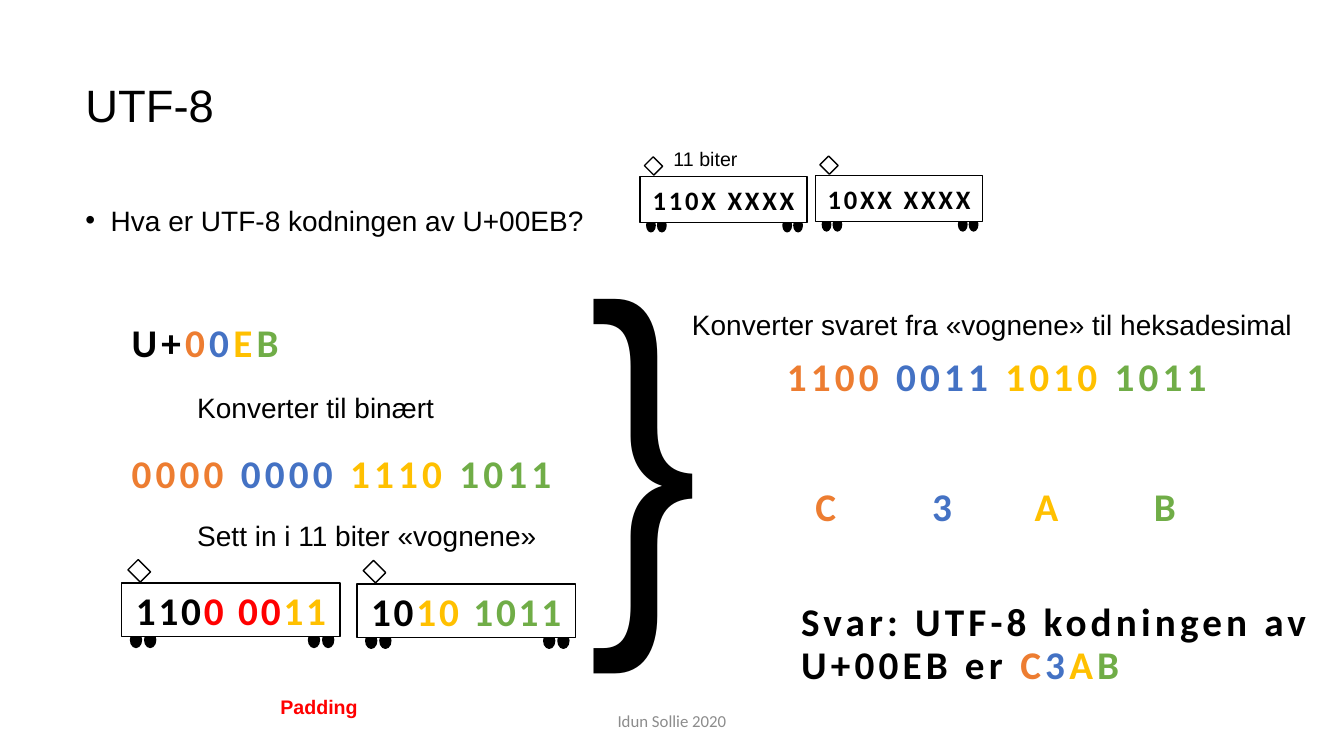
"""Build the slide that works out the UTF-8 encoding of U+00EB."""
from dataclasses import dataclass
from typing import Any

import lxml.etree
import pptx
import pptx.dml.color
import pptx.enum.shapes
import pptx.enum.text
import pptx.oxml.ns
import pptx.util

SHAPE = pptx.enum.shapes.MSO_SHAPE
ALIGN = pptx.enum.text.PP_ALIGN
ANCHOR = pptx.enum.text.MSO_ANCHOR
COLS, ROWS = 160, 90
WIDTH, HEIGHT = pptx.util.Inches(13.333), pptx.util.Inches(7.5)


@dataclass(frozen=True)
class Theme:
    black: str = "000000"
    white: str = "FFFFFF"
    grey: str = "8C8C8C"
    red: str = "FF0000"
    orange: str = "ED7D31"
    blue: str = "4472C4"
    yellow: str = "FFC000"
    green: str = "70AD47"
    sans: str = "Arial"
    narrow: str = "Arial Narrow"
    code: str = "Calibri"
    title: float = 32.4
    body: float = 20
    digits: float = 28
    small_digits: float = 19
    label: float = 14
    footer: float = 12
    brace: float = 287


T = Theme()
NIBBLES = (T.orange, T.blue, T.yellow, T.green)
Runs = list[tuple[str, str]]


@dataclass(frozen=True)
class Style:
    size: float
    font: str = T.sans
    bold: bool = False
    tracking: int = 0
    spacing: float = 0.9
    align: Any = ALIGN.LEFT


BODY = Style(T.body)
BULLET = Style(T.body, spacing=1.2)
DIGITS = Style(T.digits, T.code, True, 3)
WAGON = Style(T.digits, T.code, True, 2, 1.0, ALIGN.CENTER)
SMALL_WAGON = Style(T.small_digits, T.code, True, 2, 1.0, ALIGN.CENTER)
FOOTER = Style(T.footer, T.code, spacing=1.0, align=ALIGN.CENTER)


@dataclass(frozen=True)
class Label:
    col: float
    row: float
    cols: float
    rows: float
    runs: Runs
    style: Style = BODY
    anchor: Any = ANCHOR.TOP
    bullet: bool = False
    tabs: tuple[float, ...] = ()


@dataclass(frozen=True)
class Wagon:
    col: float
    row: float
    cols: float
    rows: float
    runs: Runs
    style: Style


def nibbles(*parts: str) -> Runs:
    return list(zip(parts, NIBBLES))


LABELS = [
    Label(53, 83.4, 54, 4.8, [("Idun Sollie 2020", T.grey)], FOOTER, ANCHOR.MIDDLE),
    Label(9, 10, 144.6, 5.7, [("UTF-8", T.black)], Style(T.title), ANCHOR.MIDDLE),
    Label(9, 22.8, 71, 6, [("Hva er UTF-8 kodningen av U+00EB?", T.black)], BULLET, bullet=True),
    Label(14.5, 37.9, 69, 6.4, [("U+", T.black), *nibbles("0", "0", "E", "B")], DIGITS),
    Label(22.3, 46.4, 46, 4.8, [("Konverter til binært", T.black)]),
    Label(14.5, 53.5, 69, 6.4, nibbles("0000 ", "0000 ", "1110 ", "1011"), DIGITS),
    Label(22.3, 61.6, 46, 4.8, [("Sett in i 11 biter «vognene»", T.black)]),
    Label(79, 17.2, 18, 3.7, [("11 biter", T.black)], Style(T.label)),
    Label(68.9, 28.4, 14, 58, [("}", T.black)], Style(T.brace, T.narrow)),
    Label(32.2, 82.4, 18, 3.7, [("Padding", T.red)], Style(T.label, bold=True)),
    Label(81.2, 36.5, 78, 4.8,
          [("Konverter svaret fra «vognene» til heksadesimal", T.black)]),
    Label(92.5, 42, 66, 6.4, nibbles("1100 ", "0011 ", "1010 ", "1011"), DIGITS),
    Label(93, 57.4, 66, 6.4, nibbles("\tC", "\t3", "\tA", "\tB"), DIGITS,
          tabs=(2.9, 16.8, 29, 43.2)),
    Label(94.2, 71.2, 65, 11.4,
          [("Svar: UTF-8 kodningen av U+00EB er ", T.black), *nibbles("C", "3", "A", "B")],
          DIGITS),
]

WAGONS = [
    Wagon(14.5, 69.4, 26, 6.4,
          [("110", T.black), ("0 00", T.red), ("11", T.yellow)], WAGON),
    Wagon(42.5, 69.5, 26, 6.4,
          [("10", T.black), ("10 ", T.yellow), ("1011", T.green)], WAGON),
    Wagon(76.2, 21, 19.9, 5.5, [("110X XXXX", T.black)], SMALL_WAGON),
    Wagon(97.1, 20.9, 19.9, 5.5, [("10XX XXXX", T.black)], SMALL_WAGON),
]
WHEELS = (0.04, 0.105, 0.855, 0.92)


def x(cols: float) -> int:
    return round(WIDTH * cols / COLS)


def y(rows: float) -> int:
    return round(HEIGHT * rows / ROWS)


def rgb(color: str) -> pptx.dml.color.RGBColor:
    return pptx.dml.color.RGBColor.from_string(color)


def apply(target: Any, values: dict[str, Any]) -> None:
    for name, value in values.items():
        setattr(target, name, value)


def add_mark(parent: Any, tag: str, **attributes: str) -> Any:
    mark = lxml.etree.SubElement(parent, pptx.oxml.ns.qn(tag))
    for name, value in attributes.items():
        mark.set(name, value)
    return mark


def write(tf: Any, runs: Runs, style: Style, bullet: bool = False,
          tabs: tuple[float, ...] = ()) -> None:
    p = tf.paragraphs[0]
    ppr = p._p.get_or_add_pPr()
    if bullet:
        apply_indent = {"marL": str(x(3)), "indent": str(-x(3))}
        for name, value in apply_indent.items():
            ppr.set(name, value)
        add_mark(ppr, "a:buFont", typeface=T.sans)
        add_mark(ppr, "a:buChar", char="•")
    if tabs:
        stops = add_mark(ppr, "a:tabLst")
        for tab in tabs:
            add_mark(stops, "a:tab", pos=str(x(tab)), algn="l")
    apply(p, {"alignment": style.align, "line_spacing": style.spacing})
    for text, color in runs:
        r = p.add_run()
        r.text = text
        apply(r.font, {"size": pptx.util.Pt(style.size), "name": style.font,
                       "bold": style.bold})
        r.font.color.rgb = rgb(color)
        if style.tracking:
            r.font._element.set("spc", str(style.tracking * 100))


def add_label(s: Any, label: Label) -> None:
    sp = s.shapes.add_textbox(x(label.col), y(label.row), x(label.cols), y(label.rows))
    apply(sp.text_frame, {"word_wrap": True, "vertical_anchor": label.anchor})
    write(sp.text_frame, label.runs, label.style, label.bullet, label.tabs)


def add_part(s: Any, wagon: Wagon, kind: Any, fill: str,
             left: float, top: float, width: float, height: float) -> Any:
    sp = s.shapes.add_shape(
        kind, x(wagon.col + left * wagon.cols), y(wagon.row + top * wagon.rows),
        x(width * wagon.cols), y(height * wagon.rows))
    sp.shadow.inherit = False
    sp.fill.solid()
    sp.fill.fore_color.rgb = rgb(fill)
    sp.line.color.rgb = rgb(T.black)
    sp.line.width = pptx.util.Pt(1)
    return sp


def add_wagon(s: Any, wagon: Wagon) -> None:
    for left in WHEELS:
        add_part(s, wagon, SHAPE.OVAL, T.black, left, 0.92, 0.05, 0.28)
    body = add_part(s, wagon, SHAPE.RECTANGLE, T.white, 0, 0, 1, 1)
    apply(body.text_frame, {"word_wrap": True, "vertical_anchor": ANCHOR.MIDDLE,
                            "margin_left": 0, "margin_right": 0})
    write(body.text_frame, wagon.runs, wagon.style)
    pantograph = add_part(s, wagon, SHAPE.RECTANGLE, T.white, 0.04, -0.36, 0.08, 0.27)
    pantograph.rotation = 45


def main() -> None:
    prs = pptx.Presentation()
    apply(prs, {"slide_width": WIDTH, "slide_height": HEIGHT})
    s = prs.slides.add_slide(prs.slide_layouts[6])
    for wagon in WAGONS:
        add_wagon(s, wagon)
    for label in LABELS:
        add_label(s, label)
    prs.save("out.pptx")


if __name__ == "__main__":
    main()
